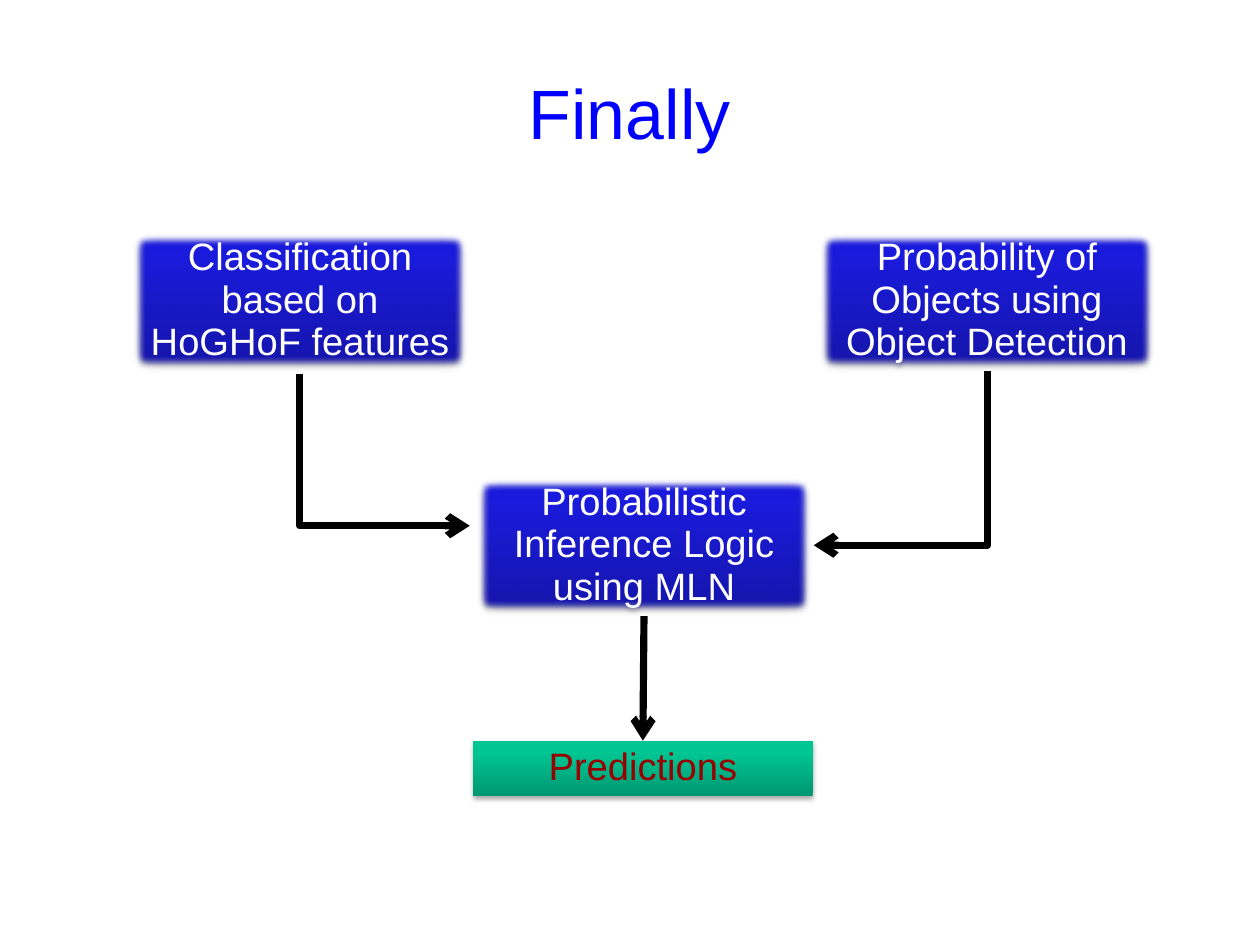
from copy import deepcopy
from lxml.etree import SubElement
from pptx import Presentation
from pptx.dml.color import RGBColor
from pptx.enum.shapes import MSO_CONNECTOR, MSO_SHAPE
from pptx.enum.text import MSO_ANCHOR, PP_ALIGN
from pptx.oxml import parse_xml
from pptx.oxml.ns import nsdecls, qn
from pptx.util import Inches, Pt

BLACK = RGBColor(0x00, 0x00, 0x00)
WHITE = RGBColor(0xFF, 0xFF, 0xFF)
TITLE_BLUE = RGBColor(0x00, 0x00, 0xFF)
DARK_RED = RGBColor(0x99, 0x00, 0x00)
BLUES = [RGBColor(0x15, 0x15, 0xA9), RGBColor(0x1B, 0x1B, 0xDC), RGBColor(0x18, 0x18, 0xE1)]
GREENS = [RGBColor(0x00, 0x98, 0x72), RGBColor(0x00, 0xC6, 0x94), RGBColor(0x00, 0xC7, 0x95)]
BOX_WIDTH = 2.97
STEP_HEIGHT = 1.23


def write_text(frame, text, size, color, anchor, margins):
    frame.word_wrap = True
    frame.vertical_anchor = anchor
    frame.margin_left = frame.margin_right = Inches(margins[0])
    frame.margin_top = frame.margin_bottom = Inches(margins[1])
    para = frame.paragraphs[0]
    para.alignment = PP_ALIGN.CENTER
    para.line_spacing = 0.93
    span = para.add_run()
    span.text = text
    span.font.name = "Arial"
    span.font.size = Pt(size)
    span.font.color.rgb = color


# The page size is a whole number of quarter points
deck = Presentation()
deck.slide_width, deck.slide_height = Pt(793.75), Pt(595.25)
page = deck.slides.add_slide(deck.slide_layouts[5])

# Title
title = page.shapes.title
title.left, title.top = Inches(0.55), Inches(0.33)
title.width, title.height = Inches(9.92), Inches(1.38)
write_text(title.text_frame, "Finally", size=44, color=TITLE_BLUE,
           anchor=MSO_ANCHOR.MIDDLE, margins=(0, 0))

# Boxes: the blue steps have soft edges, the green result is sharp
steps = [
    ("Classification based on HoGHoF features", 1.14, 2.02, STEP_HEIGHT, BLUES, WHITE),
    ("Probability of Objects using Object Detection", 7.15, 2.02, STEP_HEIGHT, BLUES, WHITE),
    ("Predictions", 4.14, 6.48, 0.48, GREENS, DARK_RED),
    ("Probabilistic Inference Logic using MLN", 4.15, 4.16, STEP_HEIGHT, BLUES, WHITE),
]
boxes = []
for text, left, top, height, shades, color in steps:
    box = page.shapes.add_shape(MSO_SHAPE.RECTANGLE, Inches(left), Inches(top),
                                Inches(BOX_WIDTH), Inches(height))
    box.line.fill.background()
    box.fill.gradient()
    box.fill.gradient_angle = 90
    stop_list = box._element.spPr.find(qn("a:gradFill")).find(qn("a:gsLst"))
    stop_list.append(deepcopy(stop_list[-1]))
    for stop, shade, position in zip(box.fill.gradient_stops, shades, (0, 0.8, 1)):
        stop.color.rgb = shade
        stop.position = position

    box.shadow.inherit = False
    effects = box._element.spPr.find(qn("a:effectLst"))
    effects.append(parse_xml(
        f'<a:outerShdw {nsdecls("a")} blurRad="39370" dist="22860" dir="5400000" rotWithShape="0">'
        '<a:srgbClr val="000000"><a:alpha val="35000"/></a:srgbClr></a:outerShdw>'))
    if shades is BLUES:
        SubElement(effects, qn("a:softEdge"), rad="63500")
    write_text(box.text_frame, text, size=24, color=color,
               anchor=MSO_ANCHOR.TOP, margins=(0.1, 0.05))
    boxes.append(box)
classification, detection, predictions, inference = boxes

# Arrows: the elbows drop straight down, then turn towards the inference box
arrows = [
    (MSO_CONNECTOR.ELBOW, 2.62, 3.27, 4.11, 4.6),
    (MSO_CONNECTOR.ELBOW, 8.64, 3.25, 7.12, 4.77),
    (MSO_CONNECTOR.STRAIGHT, 5.64, 5.38, 5.62, 6.48),
]
for kind, *ends in arrows:
    arrow = page.shapes.add_connector(kind, *map(Inches, ends))
    arrow.line.color.rgb = BLACK
    arrow.line.width = Pt(4.5)
    properties = arrow._element.spPr
    SubElement(properties.find(qn("a:ln")), qn("a:tailEnd"), type="arrow")
    SubElement(properties, qn("a:effectLst"))
    if kind == MSO_CONNECTOR.ELBOW:
        adjustments = properties.find(qn("a:prstGeom")).get_or_add_avLst()
        SubElement(adjustments, qn("a:gd"), name="adj1", fmla="val 0")
    else:
        arrow.begin_connect(inference, 2)
        arrow.end_connect(predictions, 0)

deck.save("out.pptx")
